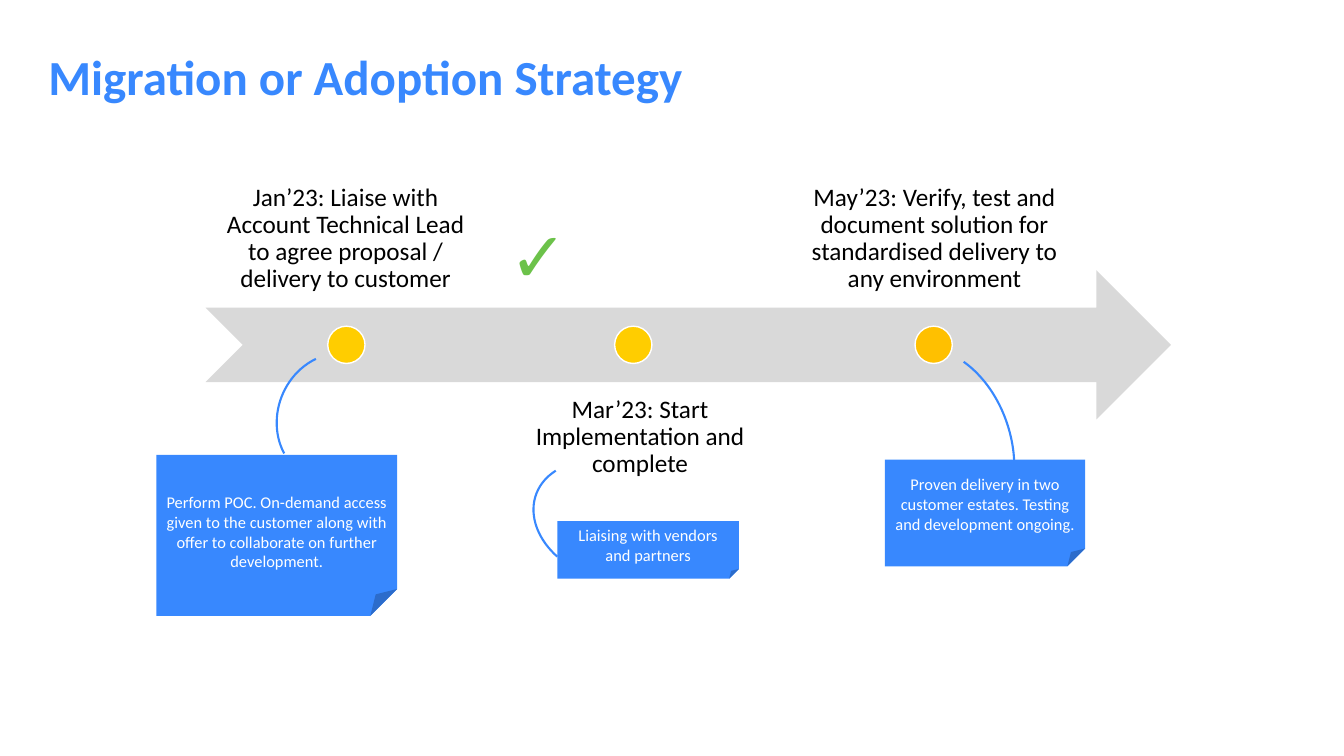
from pptx import Presentation
from pptx.dml.color import RGBColor
from pptx.enum.shapes import MSO_SHAPE as Shape
from pptx.enum.text import MSO_ANCHOR as Anchor, PP_ALIGN as Align
from pptx.util import Cm, Pt

BLUE = RGBColor(0x38, 0x88, 0xFE)
GREY = RGBColor(0xD9, 0xD9, 0xD9)
YELLOW = RGBColor(0xFF, 0xCD, 0x00)
AMBER = RGBColor(0xFF, 0xC0, 0x00)
GREEN = RGBColor(0x6C, 0xC2, 0x4A)
BLACK = RGBColor(0, 0, 0)
WHITE = RGBColor(0xFF, 0xFF, 0xFF)

# label, dot offset along the arrow, dot colour
STEPS = [
    ("Jan’23: Liaise with Account Technical Lead to agree proposal / "
     "delivery to customer", 3.55, YELLOW),
    ("Mar’23: Start Implementation and complete", 10.78, YELLOW),
    ("May’23: Verify, test and document solution for standardised delivery "
     "to any environment", 18.35, AMBER),
]
# text, note box, extra top inset, arc box, arc turn, arc end
NOTES = [
    ("Perform POC. On-demand access given to the customer along with offer "
     "to collaborate on further development.",
     (3.94, 11.46, 6.07, 4.06), 0.5, (6.81, 9.07, 3.28, 2.9), 291.1, 192.35),
    ("Liaising with vendors and partners",
     (14.05, 13.13, 4.57, 1.45), 0, (13.87, 11.2, 2.9, 3.86), 291.1, 175.76),
    ("Proven delivery in two customer estates. Testing and development "
     "ongoing.",
     (22.3, 11.58, 5.05, 2.69), 0, (20.93, 9.42, 5.28, 3.86), 74, 175.76),
]


def lengths(box):
    return [Cm(side) for side in box]


def write(frame, text, size, color, font="Calibri", bold=False,
          align=Align.CENTER, anchor=Anchor.MIDDLE, spacing=0.9):
    frame.word_wrap = True
    frame.vertical_anchor = anchor
    para = frame.paragraphs[0]
    para.alignment = align
    para.line_spacing = spacing
    run = para.add_run()
    run.text = text
    run.font.name = font
    run.font.size = Pt(size)
    run.font.bold = bold
    run.font.color.rgb = color


def add_text(slide, box, text, size, color, inset=None, **style):
    frame = slide.shapes.add_textbox(*lengths(box)).text_frame
    if inset is not None:
        frame.margin_left = frame.margin_right = Cm(inset)
        frame.margin_top = frame.margin_bottom = Cm(inset)
    write(frame, text, size, color, **style)


def add_form(slide, kind, box, fill=None, line=None, width=1):
    form = slide.shapes.add_shape(kind, *lengths(box))
    form.shadow.inherit = False
    if fill is None:
        form.fill.background()
    else:
        form.fill.solid()
        form.fill.fore_color.rgb = fill
    if line is None:
        form.line.fill.background()
    else:
        form.line.color.rgb = line
        form.line.width = Pt(width)
    return form


def add_title(slide, box):
    add_text(slide, box, "Migration or Adoption Strategy", 35, BLUE,
             bold=True, align=Align.LEFT)


def add_timeline(slide, box):
    """Arrow with dots; labels alternate above and below its shaft."""
    left, top, width, height = box
    add_form(slide, Shape.NOTCHED_RIGHT_ARROW, box, GREY)
    dot = height / 4
    for i, (text, offset, color) in enumerate(STEPS):
        above = i % 2 == 0
        shift = -0.75 * height if above else 0.75 * height
        add_text(slide, (left + i * 7.42, top + shift, 7.06, height), text,
                 18, BLACK, inset=0.36,
                 anchor=Anchor.BOTTOM if above else Anchor.TOP)
        add_form(slide, Shape.OVAL,
                 (left + offset - dot / 2, top + (height - dot) / 2, dot, dot),
                 color, WHITE)


def add_tick(slide, box):
    add_text(slide, box, "✓", 50, GREEN, font="Arial", bold=True,
             align=Align.LEFT, anchor=Anchor.TOP)


def add_note(slide, box, text, extra):
    note = add_form(slide, Shape.FOLDED_CORNER, box, BLUE)
    note.text_frame.margin_top = Cm(0.13 + extra)
    write(note.text_frame, text, 11.7, WHITE, spacing=1.0)


def add_arc(slide, box, turn, end):
    arc = add_form(slide, Shape.ARC, box, line=BLUE, width=1.5)
    arc.rotation = turn
    arc.adjustments[0] = 128.27
    arc.adjustments[1] = end


def main():
    deck = Presentation()
    deck.slide_width, deck.slide_height = Cm(33.87), Cm(19.05)
    slide = deck.slides.add_slide(deck.slide_layouts[6])
    add_title(slide, (0.97, 0.38, 30.68, 3.28))
    add_timeline(slide, (5.18, 6.81, 24.33, 3.76))
    add_tick(slide, (12.6, 5.46, 1.7, 2.18))
    for text, box, extra, curve, turn, end in NOTES:
        add_note(slide, box, text, extra)
        add_arc(slide, curve, turn, end)
    deck.save("out.pptx")


if __name__ == "__main__":
    main()
